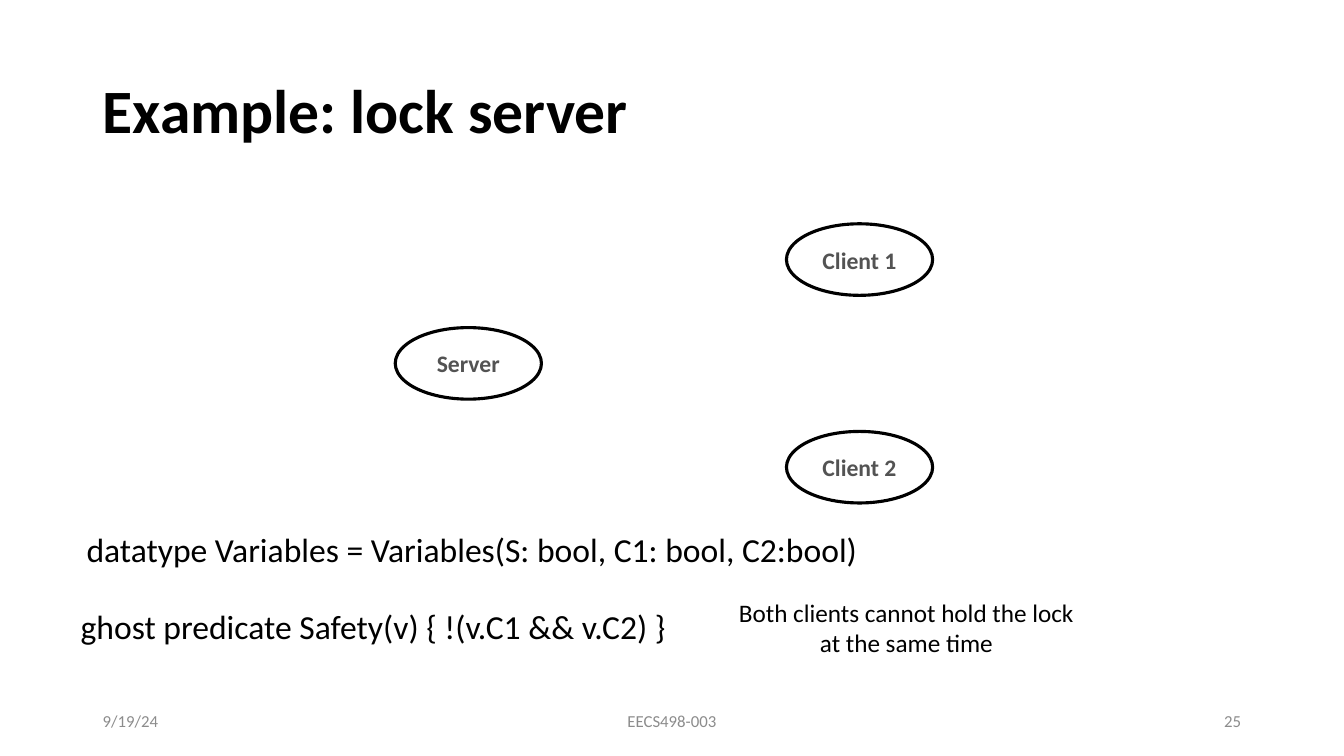
from pptx import Presentation
from pptx import util as u
from pptx.dml import color
from pptx.enum import shapes, text

FONT = "Calibri"
BLACK, GREY, DARK_GREY, WHITE = "000000", "8C8C8C", "535353", "FFFFFF"
LEFT, CENTER, RIGHT = text.PP_ALIGN.LEFT, text.PP_ALIGN.CENTER, text.PP_ALIGN.RIGHT
WIDTH, HEIGHT = 13.33, 7.5
MARGIN = 0.92
NODE_WIDTH, NODE_HEIGHT = 1.45, 0.71


def rgb(value):
    """Turn a hex string into a colour."""
    return color.RGBColor.from_string(value)


def inches(box):
    """Convert left, top, width and height to lengths."""
    return [u.Inches(length) for length in box]


def write(shape, words, size, ink=BLACK, align=LEFT, bold=False, inset=None):
    """Fill a shape with one formatted paragraph, centred vertically."""
    frame = shape.text_frame
    frame.text = words
    frame.word_wrap = True
    frame.auto_size = text.MSO_AUTO_SIZE.NONE
    frame.vertical_anchor = text.MSO_ANCHOR.MIDDLE
    if inset is not None:
        frame.margin_left = frame.margin_right = u.Inches(inset)
        frame.margin_top = frame.margin_bottom = u.Inches(inset)
    paragraph = frame.paragraphs[0]
    paragraph.alignment = align
    font = paragraph.runs[0].font
    font.name, font.size, font.bold = FONT, u.Pt(size), bold
    font.color.rgb = rgb(ink)


def add_label(slide, box, words, size, **style):
    """Add a text box."""
    write(slide.shapes.add_textbox(*inches(box)), words, size, **style)


def add_title(slide, box, words):
    """Place and format the title placeholder."""
    title = slide.shapes.title
    title.left, title.top, title.width, title.height = inches(box)
    write(title, words, 44, bold=True)
    title.text_frame.paragraphs[0].line_spacing = 0.9


def add_node(slide, left, top, name):
    """Draw one named process as an ellipse."""
    box = left, top, NODE_WIDTH, NODE_HEIGHT
    node = slide.shapes.add_shape(shapes.MSO_SHAPE.OVAL, *inches(box))
    node.shadow.inherit = False
    node.fill.solid()
    node.fill.fore_color.rgb = rgb(WHITE)
    node.line.color.rgb = rgb(BLACK)
    node.line.width = u.Pt(2.25)
    write(node, name, 16.9, ink=DARK_GREY, align=CENTER, bold=True, inset=0)


def add_diagram(slide, left, top, column_step, row_step):
    """Place the server midway between its two clients."""
    nodes = [("Server", 0, 1), ("Client 1", 1, 0), ("Client 2", 1, 2)]
    for name, column, row in nodes:
        add_node(slide, left + column * column_step, top + row * row_step, name)


def add_code(slide, left, top):
    """Write the state, the safety predicate and its meaning."""
    add_label(slide, (left, top, 9.88, 0.5),
              "datatype Variables = Variables(S: bool, C1: bool, C2:bool)", 24)
    add_label(slide, (left, top + 0.77, 6.45, 0.48),
              "ghost predicate Safety(v) { !(v.C1 && v.C2) }", 24, inset=0.04)
    add_label(slide, (left + 6.46, top + 0.67, 3.54, 0.71),
              "Both clients cannot hold the lock at the same time", 18, align=CENTER)


def add_footer(slide, top, height):
    """Write the date, course and slide number along the bottom."""
    items = [("9/19/24", MARGIN, 3, LEFT),
             ("EECS498-003", (WIDTH - 4.5) / 2, 4.5, CENTER),
             ("25", WIDTH - MARGIN - 3, 3, RIGHT)]
    for words, left, width, align in items:
        add_label(slide, (left, top, width, height), words, 12, ink=GREY, align=align)


def main():
    """Build and save the presentation."""
    presentation = Presentation()
    presentation.slide_width = u.Inches(WIDTH)
    presentation.slide_height = u.Inches(HEIGHT)
    slide = presentation.slides.add_slide(presentation.slide_layouts[5])
    add_title(slide, (MARGIN, 0.4, WIDTH - 2 * MARGIN, 1.45), "Example: lock server")
    add_diagram(slide, 3.92, 2.22, 3.88, 1.03)
    add_code(slide, 0.76, 5.2)
    add_footer(slide, 6.95, 0.4)
    presentation.save("out.pptx")


if __name__ == "__main__":
    main()
